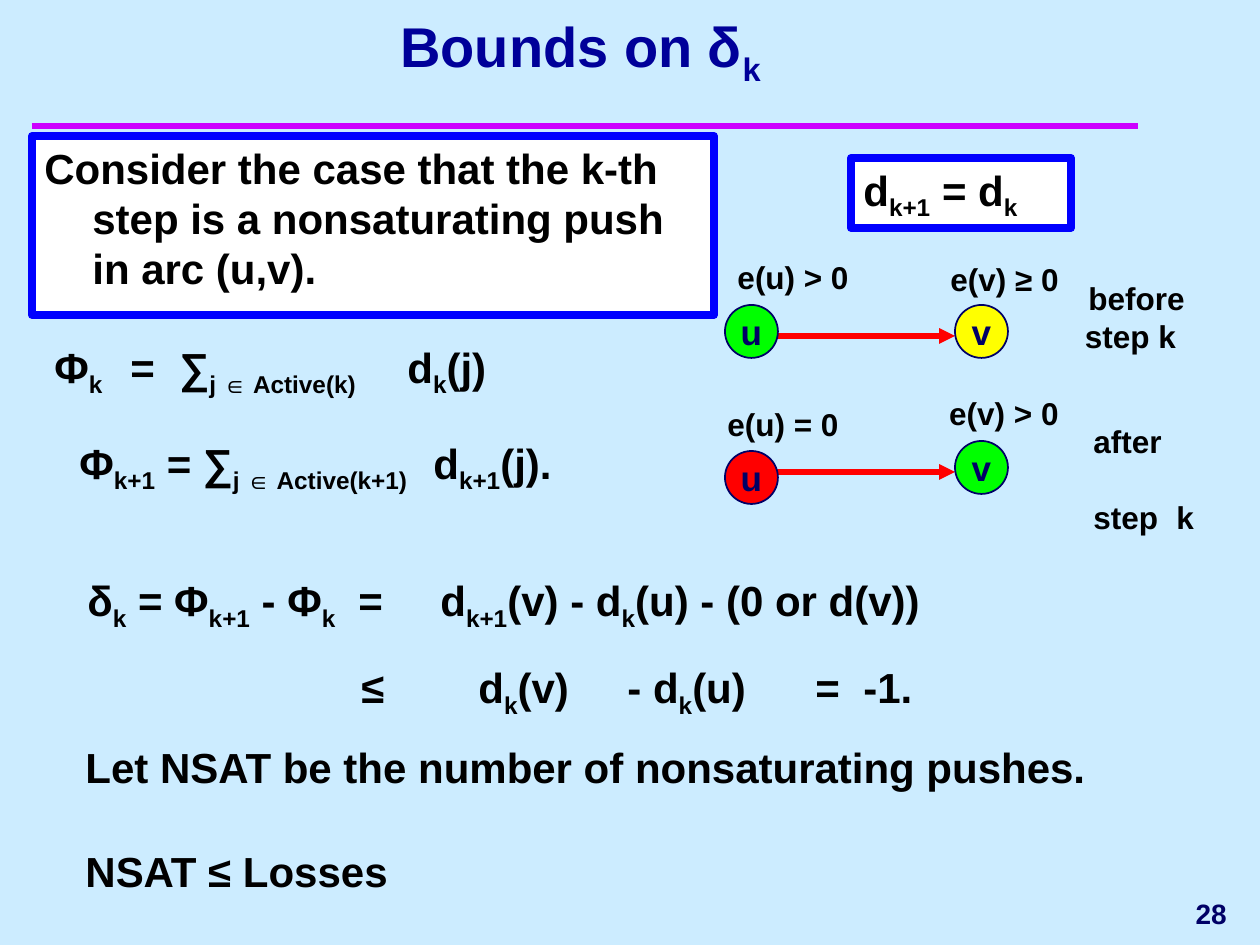
from lxml.etree import SubElement
from pptx import Presentation
from pptx.dml.color import RGBColor
from pptx.enum.shapes import MSO_CONNECTOR, MSO_SHAPE
from pptx.enum.text import MSO_ANCHOR, PP_ALIGN
from pptx.oxml.ns import qn
from pptx.util import Pt

PX = 914400 / 126
COLORS = {name: RGBColor.from_string(value) for name, value in {
    "background": "CCECFF", "rule": "CC00FF", "title": "000099",
    "navy": "000066", "black": "000000", "white": "FFFFFF",
    "frame": "0000FF", "red": "FF0000", "green": "00FF00", "yellow": "FFFF00",
}.items()}


def px(*lengths):
    return [round(length * PX) for length in lengths]


def write(paragraph, pieces, size=24, color="black", align=PP_ALIGN.LEFT, tabs=()):
    """Add runs to a paragraph; every second piece is a subscript."""
    if tabs:
        tab_list = SubElement(paragraph._p.get_or_add_pPr(), qn("a:tabLst"))
        for position in px(*tabs):
            SubElement(tab_list, qn("a:tab"), pos=str(position), algn="l")
    paragraph.alignment = align
    for index, piece in enumerate(pieces):
        run = paragraph.add_run()
        run.text = piece
        run.font.name = "Arial"
        run.font.size = Pt(size)
        run.font.bold = True
        run.font.color.rgb = COLORS[color]
        if index % 2:
            run.font._element.set("baseline", "-25000")


presentation = Presentation()
presentation.slide_width, presentation.slide_height = px(1260, 945)
slide = presentation.slides.add_slide(presentation.slide_layouts[6])
slide.background.fill.solid()
slide.background.fill.fore_color.rgb = COLORS["background"]
shapes = slide.shapes

# Title rule and the two push arrows
for x1, x2, y, color, width, arrow in [
    (32, 1138, 126, "rule", 4, False),
    (777, 955, 336, "red", 3, True),
    (777, 955, 472, "red", 3, True),
]:
    connector = shapes.add_connector(MSO_CONNECTOR.STRAIGHT, *px(x1, y, x2, y))
    connector.line.color.rgb = COLORS[color]
    connector.line.width = Pt(width)
    if arrow:
        SubElement(connector.line._get_or_add_ln(), qn("a:tailEnd"), type="triangle")
    SubElement(connector._element.spPr, qn("a:effectLst"))

# Framed boxes: the case considered and the distance equality
for box, pieces, hanging in [
    ((32, 136, 682, 179),
     ["Consider the case that the k-th step is a nonsaturating push in arc (u,v)."], 48),
    ((851, 158, 220, 70), ["d", "k+1", " = d", "k"], 0),
]:
    frame = shapes.add_shape(MSO_SHAPE.RECTANGLE, *px(*box))
    frame.shadow.inherit = False
    frame.fill.solid()
    frame.fill.fore_color.rgb = COLORS["white"]
    frame.line.color.rgb = COLORS["frame"]
    frame.line.width = Pt(4.5)
    frame.text_frame.word_wrap = True
    frame.text_frame.vertical_anchor = MSO_ANCHOR.TOP
    paragraph = frame.text_frame.paragraphs[0]
    write(paragraph, pieces)
    if hanging:
        properties = paragraph._p.get_or_add_pPr()
        properties.set("marL", str(px(hanging)[0]))
        properties.set("indent", str(px(-hanging)[0]))

# Nodes before and after the push
for x, y, name, color in [
    (725, 305, "u", "green"), (955, 305, "v", "yellow"),
    (725, 451, "u", "red"), (955, 441, "v", "green"),
]:
    node = shapes.add_shape(MSO_SHAPE.OVAL, *px(x, y, 53, 53))
    node.shadow.inherit = False
    node.fill.solid()
    node.fill.fore_color.rgb = COLORS[color]
    node.line.color.rgb = COLORS["navy"]
    node.line.width = Pt(1)
    node.text_frame.word_wrap = False
    node.text_frame.vertical_anchor = MSO_ANCHOR.MIDDLE
    write(node.text_frame.paragraphs[0], [name], 20, "navy", PP_ALIGN.CENTER)

# Single-paragraph text: title, page number, excess labels, first equations
for box, pieces, size, color, align, anchor, tabs in [
    ((45, 21, 1071, 73), ["Bounds on δ", "k"], 32, "title",
     PP_ALIGN.CENTER, MSO_ANCHOR.BOTTOM, ()),
    ((998, 882, 241, 63), ["28"], 16, "navy", PP_ALIGN.RIGHT, MSO_ANCHOR.MIDDLE, ()),
    ((693, 252, 168, 50), ["e(u) > 0"], 18, "black", PP_ALIGN.RIGHT, MSO_ANCHOR.TOP, ()),
    ((903, 254, 168, 50), ["e(v) ≥ 0"], 18, "black", PP_ALIGN.RIGHT, MSO_ANCHOR.TOP, ()),
    ((683, 399, 168, 50), ["e(u) = 0"], 18, "black", PP_ALIGN.RIGHT, MSO_ANCHOR.TOP, ()),
    ((903, 388, 168, 50), ["e(v) > 0"], 18, "black", PP_ALIGN.RIGHT, MSO_ANCHOR.TOP, ()),
    ((1029, 273, 168, 88), ["before step k "], 18, "black",
     PP_ALIGN.RIGHT, MSO_ANCHOR.TOP, ()),
    ((42, 335, 504, 71), ["Φ", "k", "\t=\t∑", "j ∈ Active(k)", "\td", "k", "(j)"], 24,
     "black", PP_ALIGN.LEFT, MSO_ANCHOR.TOP, (76, 125, 353)),
    ((67, 431, 504, 71), ["Φ", "k+1", " = ∑", "j ∈ Active(k+1)", "\td", "k+1", "(j)."], 24,
     "black", PP_ALIGN.LEFT, MSO_ANCHOR.TOP, (354,)),
]:
    text_frame = shapes.add_textbox(*px(*box)).text_frame
    text_frame.word_wrap = True
    text_frame.vertical_anchor = anchor
    write(text_frame.paragraphs[0], pieces, size, color, align, tabs)

# Stacked text: the "after" label, the bound on δ and the conclusions
for box, lines, size, spacing, before, after in [
    ((1081, 416, 140, 164), [(["after"], ()), (["step\tk"], (83,))], 18, 1, 21.6, 0),
    ((75, 557, 1029, 169), [
        (["δ", "k", " = Φ", "k+1", " - Φ", "k", "\t=\td", "k+1", "(v) - d", "k",
          "(u) - (0 or d(v))"], (271, 353)),
        (["\t≤\td", "k", "(v)\t- d", "k", "(u)\t=\t-1."], (274, 391, 540, 728, 776)),
    ], 24, 1.2, 6, 4.5),
    ((73, 725, 1040, 73),
     [(["Let NSAT be the number of nonsaturating pushes."], ())], 24, 1.2, 6, 4.5),
    ((73, 829, 1040, 73), [(["NSAT ≤ Losses"], ())], 24, 1.2, 6, 4.5),
]:
    text_frame = shapes.add_textbox(*px(*box)).text_frame
    text_frame.word_wrap = True
    for index, (pieces, tabs) in enumerate(lines):
        paragraph = text_frame.add_paragraph() if index else text_frame.paragraphs[0]
        write(paragraph, pieces, size, tabs=tabs)
        paragraph.line_spacing = spacing
        paragraph.space_after = Pt(after)
        if index:
            paragraph.space_before = Pt(before)

presentation.save("out.pptx")
